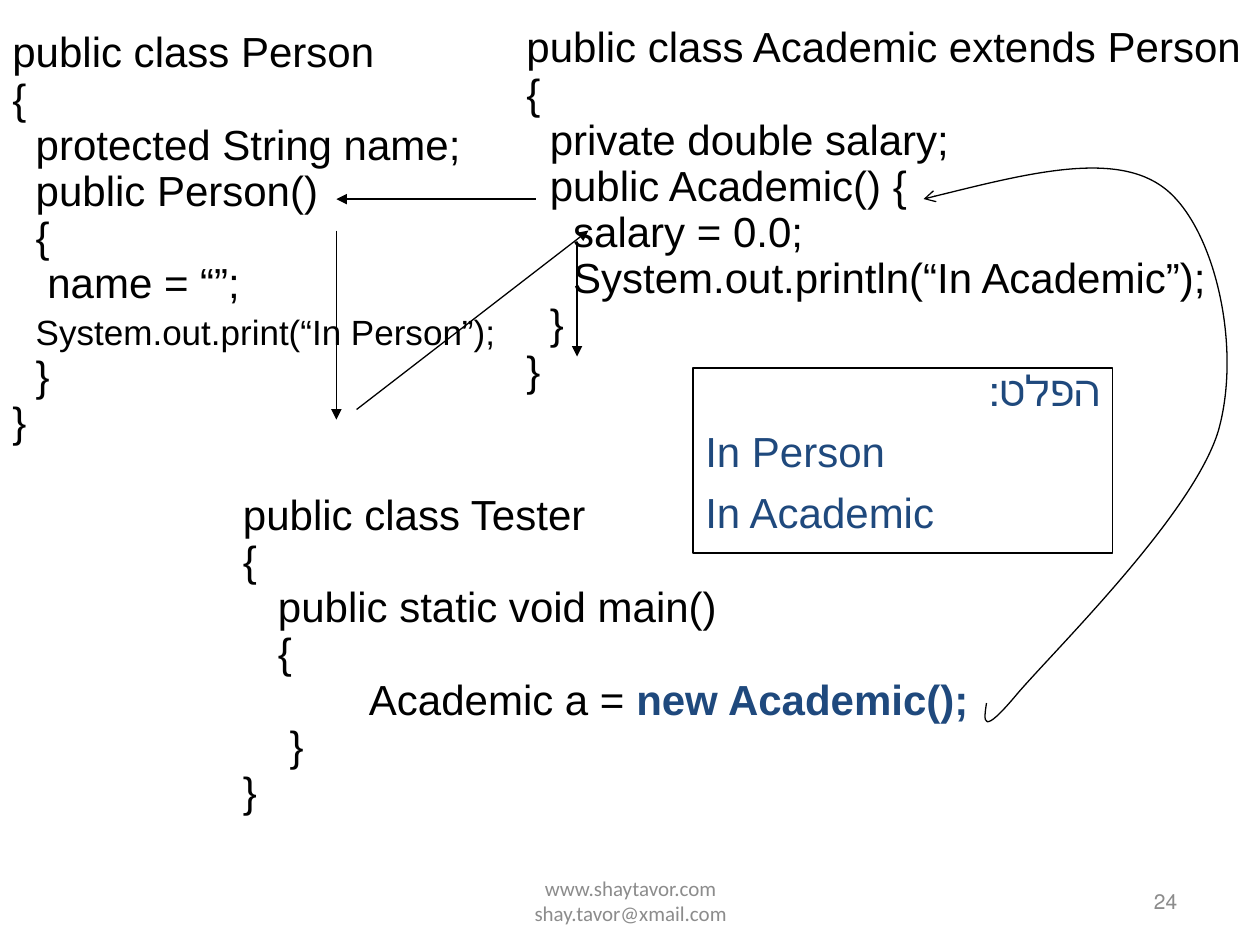
"""Slide tracing constructor calls between a base class and its subclass."""
import pptx
import pptx.util
import pptx.dml.color
import pptx.enum.shapes
import pptx.enum.text
import pptx.oxml
import pptx.oxml.ns
import lxml.etree

INK = {"code": "000000", "key": "1F497D", "foot": "8C8C8C"}
SPACE = 0.0926
TAB = 1 / SPACE
SMALL = {"size": 20}
CALL = {"ink": "key", "bold": True}

CODE = [
    ((0, 0.33, 6.08, 3.49), [
        (0, "public class Person"), (0, "{"), (2, "protected String name;"),
        (2, "public Person()"), (2, "{"), (3, "name = “”;"),
        (1, " ", "System.out.print(“In Person”);", SMALL),
        (2, "}"), (0, "}")]),
    ((4.08, 0.29, 6.25, 3.1), [
        (0, "public class Academic extends Person"), (0, "{"),
        (2, "private double salary;"), (2, "public Academic() {"),
        (4, "salary = 0.0;"), (4, "System.out.println(“In Academic”);"),
        (2, "}"), (0, "}")]),
    ((1.83, 4, 6.08, 2.75), [
        (0, "public class Tester"), (0, "{"),
        (3, "public static void main()"), (3, "{"),
        (TAB, "Academic a = ", "new Academic();", CALL),
        (4, "}"), (0, "}")]),
]
OUTPUT = ["הפלט:", "In Person", "In Academic"]
FOOT = [
    ((3.42, 6.95, 3.17, 0.4), "www.shaytavor.com\vshay.tavor@xmail.com", "CENTER"),
    ((9.06, 6.95, 0.44, 0.4), "24", "LEFT"),
]
ARROWS = [
    (4.25, 1.58, 2.67, 1.58), (2.67, 1.83, 2.67, 3.33),
    (2.83, 3.25, 4.67, 1.83), (4.58, 1.92, 4.58, 2.83),
]
CURVE = [
    (7.83, 5.58), (7.81, 5.72), (7.78, 5.86), (8.08, 5.5),
    (8.39, 5.14), (9.47, 4.08), (9.67, 3.42),
    (9.86, 2.75), (9.64, 1.81), (9.25, 1.5),
    (8.86, 1.19), (8.1, 1.39), (7.33, 1.58),
]

inch = pptx.util.Inches
qn = pptx.oxml.ns.qn
align = pptx.enum.text.PP_ALIGN
anchor = pptx.enum.text.MSO_ANCHOR
grow = pptx.enum.text.MSO_AUTO_SIZE.SHAPE_TO_FIT_TEXT
sub = lxml.etree.SubElement


def style(run, size=24, ink="code", face="Arial", bold=False):
    run.font.size = pptx.util.Pt(size)
    run.font.name = face
    run.font.bold = bold
    run.font.color.rgb = pptx.dml.color.RGBColor.from_string(INK[ink])


def space(para, ratio, pad=0):
    para.line_spacing = ratio
    props = para._p.get_or_add_pPr()
    sub(sub(props, qn("a:spcBef")), qn("a:spcPct")).set("val", "50000")
    props.set("marL", str(inch(pad * SPACE)))
    props.set("indent", "0")


def add_box(area):
    box = slide.shapes.add_textbox(*map(inch, area))
    box.text_frame.word_wrap = True
    return box.text_frame


def fill_rows(frame, rows):
    for i, text in enumerate(rows):
        para = frame.add_paragraph() if i else frame.paragraphs[0]
        para.text = text
        yield para


def draw_line(shape, tail):
    shape.line.color.rgb = pptx.dml.color.RGBColor.from_string(INK["code"])
    shape.line.width = pptx.util.Pt(0.75)
    if tail:
        sub(shape.line._get_or_add_ln(), qn("a:tailEnd")).set("type", tail)


deck = pptx.Presentation()
deck.slide_width, deck.slide_height = inch(10), inch(7.5)
slide = deck.slides.add_slide(deck.slide_layouts[6])
shapes = slide.shapes

for area, text, side in FOOT:
    frame = add_box(area)
    frame.text = text
    frame.vertical_anchor = anchor.MIDDLE
    para = frame.paragraphs[0]
    para.alignment = align[side]
    para._p.get_or_add_pPr().set("rtl", "1")
    for run in para.runs:
        style(run, 12, "foot", "Calibri")

for area, rows in CODE:
    frame = add_box(area)
    frame.auto_size = grow
    paras = fill_rows(frame, [row[1] for row in rows])
    for para, (pad, text, *extra) in zip(paras, rows):
        space(para, 0.5, pad)
        style(para.runs[0])
        if extra:
            more = para.add_run()
            more.text = extra[0]
            style(more, **extra[1])

start, *rest = [tuple(map(inch, point)) for point in CURVE]
pen = shapes.build_freeform(*start)
pen.add_line_segments(rest, close=False)
curve = pen.convert_to_shape()
curve.shadow.inherit = False
curve.fill.background()
draw_line(curve, "arrow")
track = next(curve._element.iter(qn("a:path")))
steps = track.findall(qn("a:lnTo"))
for i in range(0, len(steps), 3):
    bend = sub(track, qn("a:cubicBezTo"))
    for step in steps[i:i + 3]:
        bend.append(step[0])
        track.remove(step)

for ends in ARROWS:
    arrow = shapes.add_connector(
        pptx.enum.shapes.MSO_CONNECTOR.STRAIGHT, *map(inch, ends))
    draw_line(arrow, "triangle")
    sub(arrow._element.spPr, qn("a:effectLst"))

panel = shapes.add_shape(
    pptx.enum.shapes.MSO_SHAPE.RECTANGLE, *map(inch, (5.5, 2.92, 3.33, 1.47)))
panel.shadow.inherit = False
panel.fill.background()
draw_line(panel, None)
frame = panel.text_frame
frame.word_wrap = True
frame.vertical_anchor = anchor.TOP
frame.auto_size = grow
for i, para in enumerate(fill_rows(frame, OUTPUT)):
    space(para, 0.8)
    para.alignment = align.LEFT if i else align.RIGHT
    para._p.get_or_add_pPr().set("rtl", "0" if i else "1")
    style(para.runs[0], ink="key")

deck.save("out.pptx")
